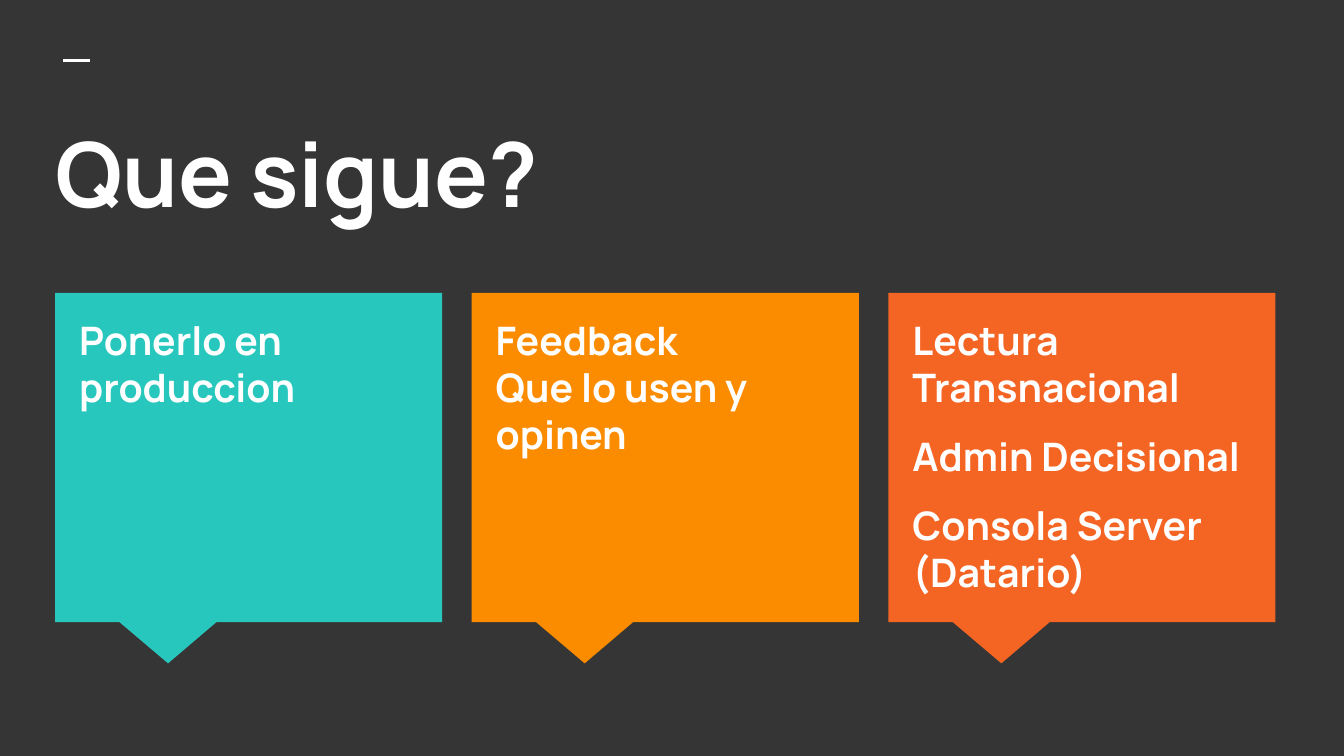
from dataclasses import dataclass

from lxml.etree import SubElement
from pptx import Presentation
from pptx.dml.color import RGBColor
from pptx.enum.shapes import MSO_CONNECTOR as Connector, MSO_SHAPE as Shape
from pptx.enum.text import MSO_ANCHOR as Anchor, MSO_AUTO_SIZE as AutoSize, PP_ALIGN as Align
from pptx.oxml.ns import qn
from pptx.slide import Slide
from pptx.text.text import TextFrame, _Paragraph as Paragraph
from pptx.util import Inches, Pt


@dataclass(frozen=True)
class Theme:
    font: str = "Manrope"
    background: str = "353535"
    text: str = "FFFFFF"
    teal: str = "27C7BD"
    amber: str = "FB8C00"
    orange: str = "F46524"
    title_size: int = 48
    card_size: int = 21
    card_space_after: int = 12


@dataclass(frozen=True)
class Grid:
    """Equal columns between two margins, in inches."""
    left: float = 0.41
    right: float = 9.49
    top: float = 2.18
    width: float = 2.88
    height: float = 2.45
    columns: int = 3

    def column_left(self, column: int) -> float:
        pitch = (self.right - self.left - self.width) / (self.columns - 1)
        return self.left + column * pitch


@dataclass(frozen=True)
class Card:
    color: str
    paragraphs: tuple[tuple[str, ...], ...]  # each paragraph is a tuple of lines


THEME = Theme()
GRID = Grid()
CARDS = (
    Card(THEME.teal, (("Ponerlo en produccion",),)),
    Card(THEME.amber, (("Feedback", "Que lo usen y opinen"),)),
    Card(THEME.orange, (("Lectura Transnacional",), ("Admin Decisional",),
                        ("Consola Server (Datario)",))),
)


def rgb(color: str) -> RGBColor:
    return RGBColor.from_string(color)


def prepare_frame(frame: TextFrame) -> None:
    frame.word_wrap = True
    frame.auto_size = AutoSize.NONE
    frame.vertical_anchor = Anchor.TOP
    frame.margin_left = frame.margin_right = Inches(0.1)
    frame.margin_top = frame.margin_bottom = Inches(0.1)


def write_lines(paragraph: Paragraph, lines: tuple[str, ...], size: int) -> None:
    paragraph.alignment = Align.LEFT
    for index, line in enumerate(lines):
        if index:
            paragraph.add_line_break()
        run = paragraph.add_run()
        run.text = line
        run.font.name = THEME.font
        run.font.size = Pt(size)
        run.font.bold = True
        run.font.color.rgb = rgb(THEME.text)


def draw_accent(slide: Slide) -> None:
    accent = slide.shapes.add_connector(
        Connector.STRAIGHT, Inches(0.47), Inches(0.45), Inches(0.67), Inches(0.45))
    accent.line.color.rgb = rgb(THEME.text)
    accent.line.width = Pt(1.5)
    SubElement(accent._element.spPr, qn("a:effectLst"))


def draw_title(slide: Slide, text: str) -> None:
    title = slide.shapes.title
    title.left, title.top = Inches(0.31), Inches(0.78)
    title.width, title.height = Inches(9.43), Inches(1.12)
    prepare_frame(title.text_frame)
    write_lines(title.text_frame.paragraphs[0], (text,), THEME.title_size)


def draw_card(slide: Slide, card: Card, column: int) -> None:
    left = GRID.column_left(column)
    callout = slide.shapes.add_shape(
        Shape.RECTANGULAR_CALLOUT, Inches(left), Inches(GRID.top),
        Inches(GRID.width), Inches(GRID.height))
    callout.adjustments[0], callout.adjustments[1] = -0.208, 0.625
    callout.shadow.inherit = False
    callout.fill.solid()
    callout.fill.fore_color.rgb = rgb(card.color)
    callout.line.fill.background()

    label = slide.shapes.add_textbox(
        Inches(left + 0.08), Inches(GRID.top + 0.07), Inches(2.71), Inches(2.19))
    frame = label.text_frame
    prepare_frame(frame)
    for index, lines in enumerate(card.paragraphs):
        paragraph = frame.add_paragraph() if index else frame.paragraphs[0]
        paragraph.space_after = Pt(THEME.card_space_after)
        write_lines(paragraph, lines, THEME.card_size)


def main() -> None:
    presentation = Presentation()
    presentation.slide_width = Inches(10)
    presentation.slide_height = presentation.slide_width * 9 // 16
    title_only = presentation.slide_layouts[5]
    slide = presentation.slides.add_slide(title_only)
    slide.background.fill.solid()
    slide.background.fill.fore_color.rgb = rgb(THEME.background)

    draw_accent(slide)
    draw_title(slide, "Que sigue?")
    for column, card in enumerate(CARDS):
        draw_card(slide, card, column)
    presentation.save("out.pptx")


if __name__ == "__main__":
    main()
